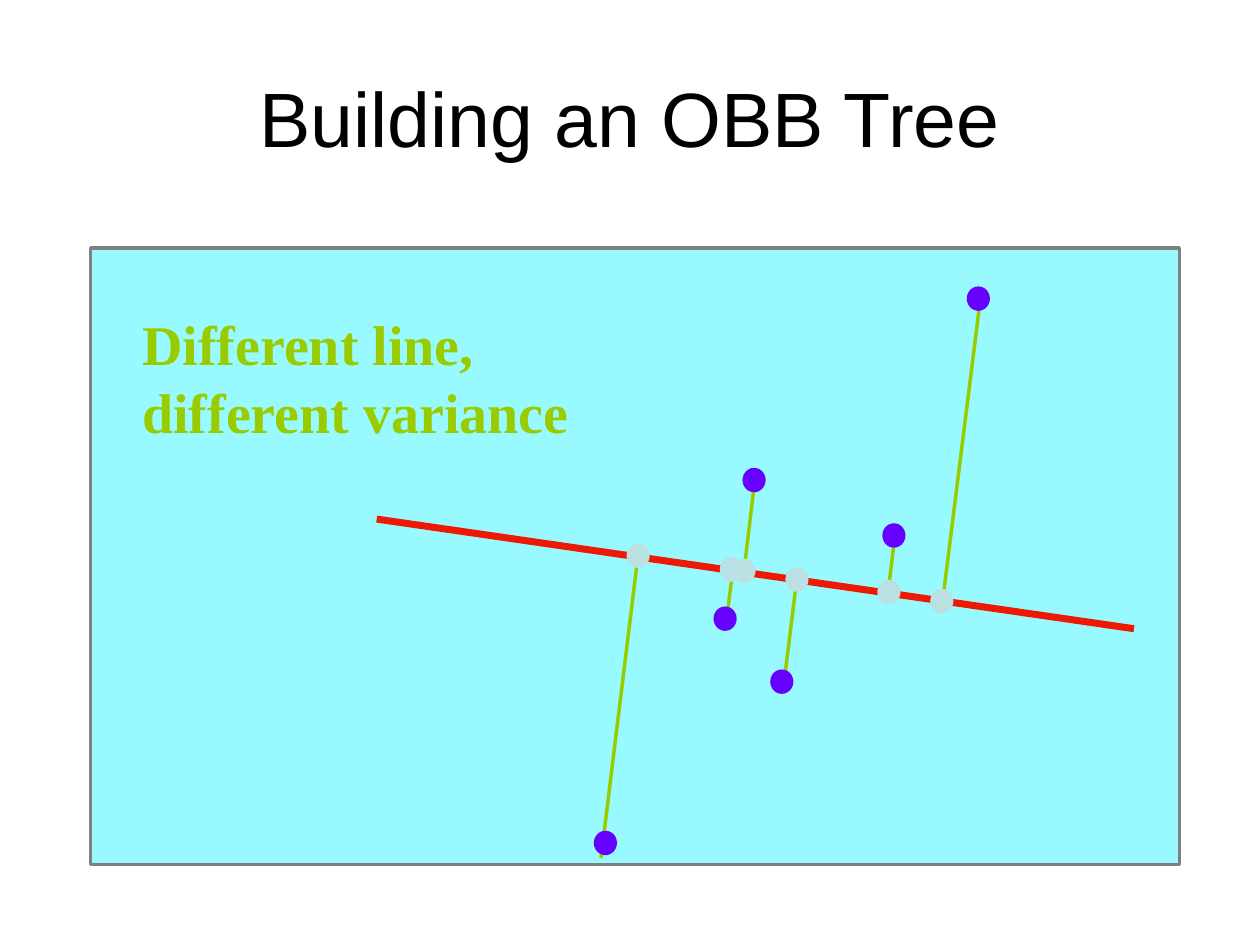
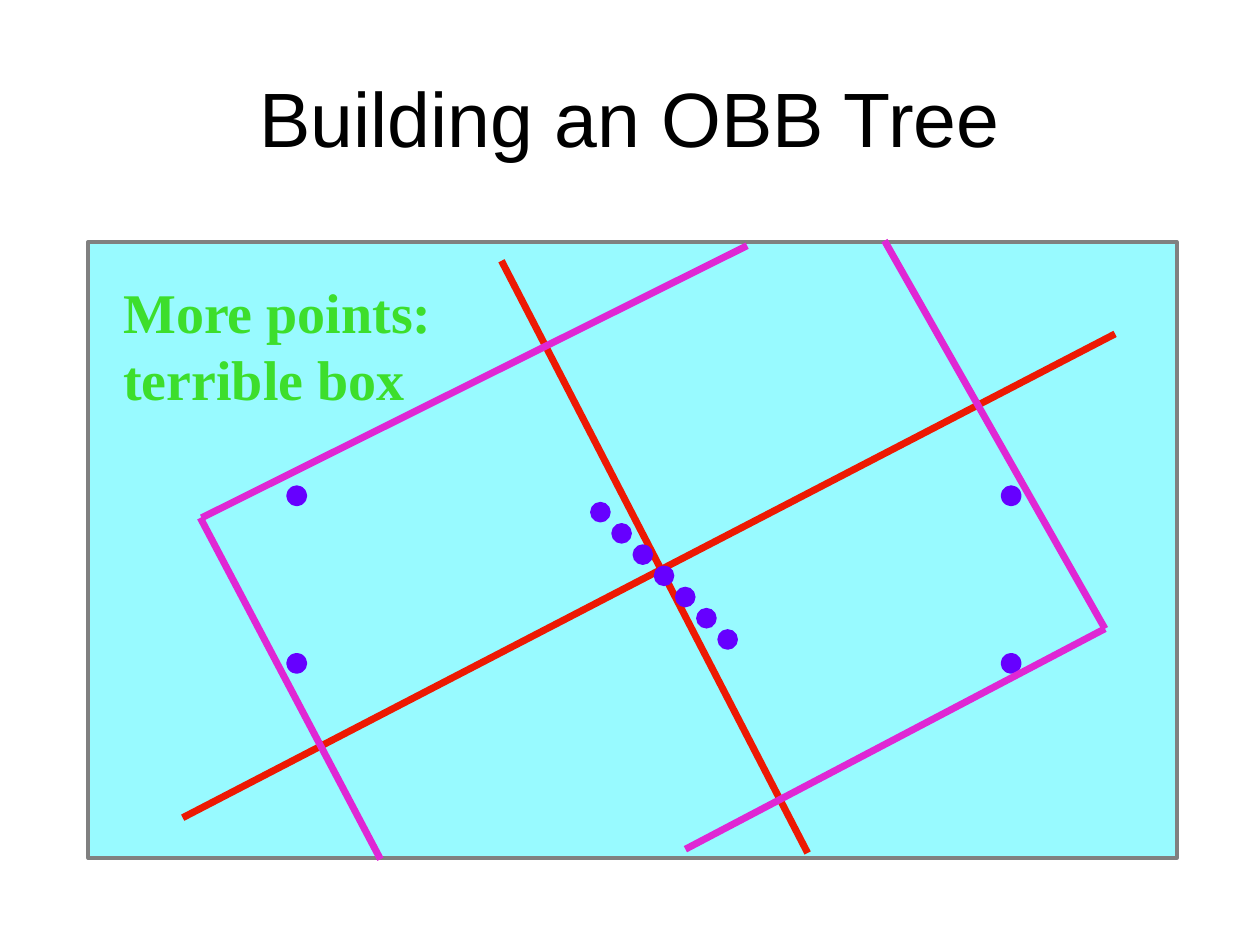
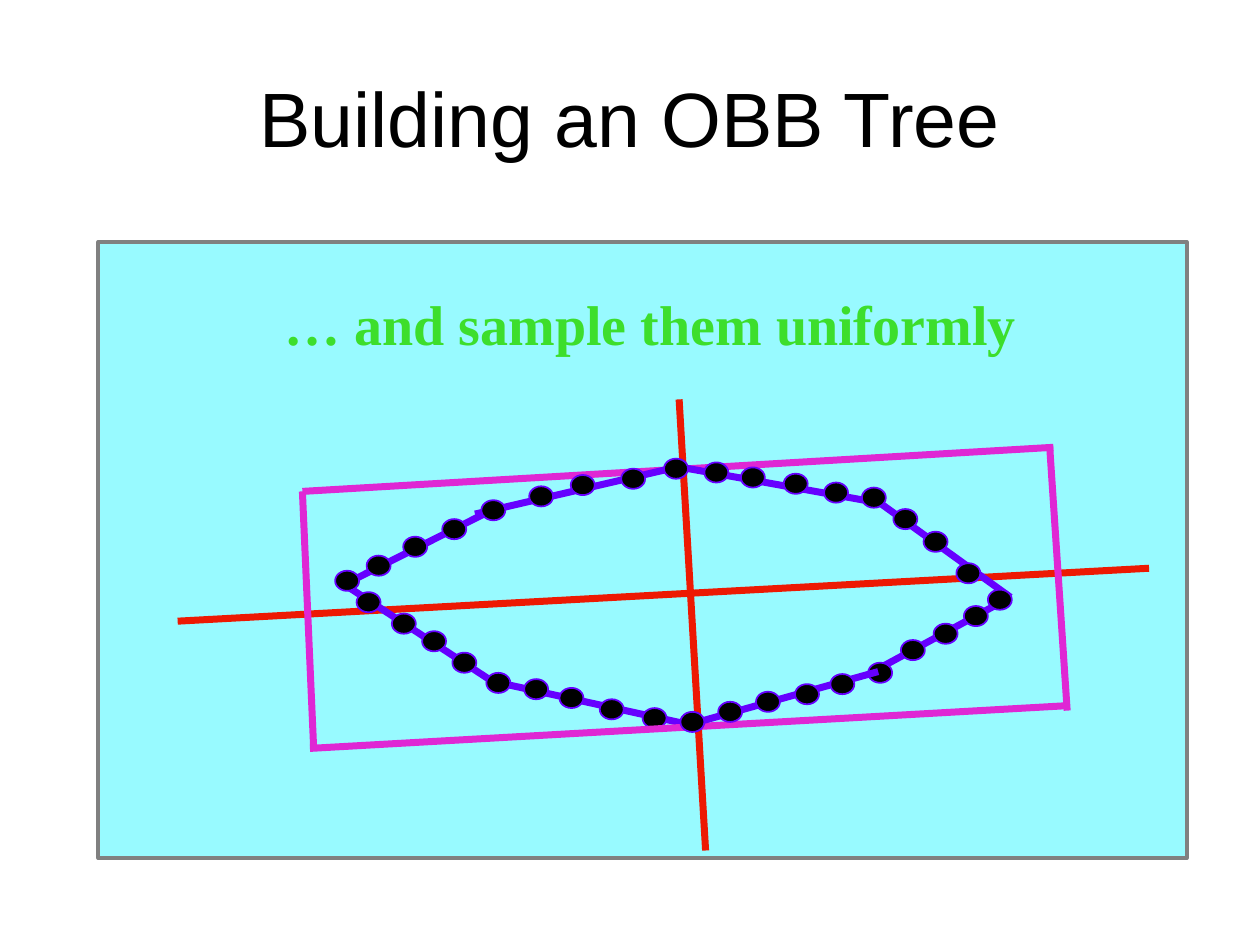
import itertools

import pptx
import pptx.dml.color
import pptx.enum.shapes
import pptx.enum.text
import pptx.oxml
import pptx.util

Inches = pptx.util.Inches
Pt = pptx.util.Pt
RGBColor = pptx.dml.color.RGBColor

BLACK = RGBColor(0x00, 0x00, 0x00)
CYAN = RGBColor(0x98, 0xFA, 0xFF)
GRAY = RGBColor(0x80, 0x80, 0x80)
OLIVE = RGBColor(0x99, 0xCC, 0x00)
GREEN = RGBColor(0x3D, 0xDE, 0x2C)
PURPLE = RGBColor(0x66, 0x00, 0xFF)
PALE = RGBColor(0xBB, 0xE0, 0xE3)
RED = RGBColor(0xED, 0x19, 0x03)
MAGENTA = RGBColor(0xDF, 0x27, 0xD4)

TITLE = "Building an OBB Tree"
TITLE_FRAME = (0.5, 0.3, 9, 1.25)
PANEL_SIZE = (8.64, 4.89)
CAPTION_SIZE = 32

# Dot styles: width, height, fill, outline colour, outline points
POINT = (0.17, 0.18, PURPLE, PURPLE, 1)
PROJECTION = (0.17, 0.18, PALE, PALE, 1)
CORNER_POINT = (0.11, 0.11, PURPLE, PURPLE, 4)
CLUSTER_POINT = (0.15, 0.15, PURPLE, PURPLE, 1)
SAMPLE = (0.19, 0.16, BLACK, PURPLE, 1)

# Line styles: colour, points
PROJECTOR = (OLIVE, 2)
AXIS = (RED, 4)
BOX_SIDE = (MAGENTA, 4)
HULL_EDGE = (PURPLE, 4)

CORNERS = list(itertools.product((2.3, 7.97), (3.88, 5.21)))
CLUSTER = [(4.69 + 1.01 * step / 6, 3.99 + 1.01 * step / 6) for step in range(7)]

# Layers run from back to front; lines are (x1, y1, x2, y2), dots are (left, top)
SLIDES = [
    {
        "panel": (0.72, 1.97),
        "caption": ("Different line,\ndifferent variance", OLIVE, (1.03, 2.41, 3.6, 1.17)),
        "layers": [
            ("lines", PROJECTOR, [
                (7.78, 2.38, 7.48, 4.78), (7.1, 4.27, 7.05, 4.69), (6.32, 4.63, 6.22, 5.44),
                (5.99, 3.82, 5.9, 4.57), (5.82, 4.49, 5.76, 4.97), (5.06, 4.44, 4.77, 6.81)]),
            ("dots", POINT, [
                (7.68, 2.28), (5.9, 3.72), (7.01, 4.16), (5.67, 4.82), (6.12, 5.32), (4.72, 6.6)]),
            ("lines", AXIS, [(2.99, 4.12, 9, 4.99)]),
            ("dots", PROJECTION, [
                (4.98, 4.32), (5.82, 4.44), (5.72, 4.43), (6.24, 4.51), (6.97, 4.61), (7.39, 4.68)]),
        ],
    },
    {
        "panel": (0.7, 1.92),
        "caption": ("More points:\nterrible box", GREEN, (0.88, 2.15, 2.66, 1.17)),
        "layers": [
            ("dots", CORNER_POINT, CORNERS),
            ("lines", AXIS, [(3.98, 2.07, 6.41, 6.77), (8.85, 2.65, 1.45, 6.49)]),
            ("dots", CLUSTER_POINT, CLUSTER),
            ("lines", BOX_SIDE, [
                (1.6, 4.11, 5.93, 1.95), (1.59, 4.11, 3.02, 6.82),
                (5.44, 6.74, 8.77, 4.99), (7.02, 1.91, 8.77, 4.99)]),
        ],
    },
    {
        "panel": (0.78, 1.92),
        "caption": ("… and sample them uniformly", GREEN, (2.16, 2.25, 6.01, 0.63)),
        "layers": [
            ("lines", BOX_SIDE, [(2.4, 3.9, 8.36, 3.55)]),
            ("lines", AXIS, [(5.39, 3.17, 5.6, 6.75), (1.41, 4.93, 9.12, 4.51)]),
            ("lines", HULL_EDGE, [
                (2.79, 4.61, 3.84, 4.08), (3.92, 5.41, 5.42, 5.74), (3.77, 4.08, 5.32, 3.72),
                (2.72, 4.63, 3.88, 5.39), (5.3, 3.69, 6.97, 3.99), (6.93, 5.33, 8.02, 4.74),
                (6.87, 3.91, 8.02, 4.74)]),
            ("dots", SAMPLE, [
                (7.84, 4.68), (6.89, 5.26), (6.84, 3.87), (5.27, 3.64), (3.86, 5.34), (3.82, 3.97),
                (2.66, 4.53), (3.11, 4.87), (3.35, 5.01), (2.83, 4.7), (3.59, 5.18), (4.16, 5.39),
                (4.44, 5.46), (4.76, 5.55), (5.1, 5.62), (7.15, 5.08), (7.41, 4.95), (7.65, 4.81),
                (3.51, 4.12), (3.2, 4.26), (4.2, 3.86), (2.91, 4.41), (4.53, 3.77), (4.93, 3.72),
                (5.59, 3.67), (5.88, 3.71), (6.22, 3.76), (6.54, 3.83), (7.09, 4.04), (7.33, 4.22),
                (7.59, 4.47)]),
            ("lines", BOX_SIDE, [
                (2.4, 3.9, 2.49, 5.95), (2.46, 5.94, 8.48, 5.6), (8.33, 3.53, 8.47, 5.64)]),
            ("lines", HULL_EDGE, [(5.47, 5.75, 6.97, 5.33)]),
            ("dots", SAMPLE, [(5.4, 5.65), (5.7, 5.57), (6.31, 5.43), (6.59, 5.35), (6, 5.49)]),
        ],
    },
]


def add_filled(page, kind, frame, fill, outline, points):
    shape = page.shapes.add_shape(kind, *map(Inches, frame))
    shape.shadow.inherit = False
    shape.fill.solid()
    shape.fill.fore_color.rgb = fill
    shape.line.color.rgb = outline
    shape.line.width = Pt(points)


def add_line(page, ends, color, points):
    line = page.shapes.add_connector(
        pptx.enum.shapes.MSO_CONNECTOR.STRAIGHT, *map(Inches, ends))
    line.line.color.rgb = color
    line.line.width = Pt(points)
    properties = line._element.spPr
    properties.append(properties.makeelement(pptx.oxml.ns.qn("a:effectLst"), {}))


def add_text(page, text, frame, font_name, size, color):
    box = page.shapes.add_textbox(*map(Inches, frame))
    box.text_frame.text = text
    for para in box.text_frame.paragraphs:
        para.font.name = font_name
        para.font.size = Pt(size)
        para.font.color.rgb = color
    return box.text_frame


def add_title(page):
    frame = add_text(page, TITLE, TITLE_FRAME, "Arial", 44, BLACK)
    frame.word_wrap = True
    frame.vertical_anchor = pptx.enum.text.MSO_ANCHOR.MIDDLE
    frame.paragraphs[0].alignment = pptx.enum.text.PP_ALIGN.CENTER


def add_caption(page, text, color, place):
    frame = add_text(page, text, place, "Times New Roman", CAPTION_SIZE, color)
    frame.word_wrap = False
    frame.auto_size = pptx.enum.text.MSO_AUTO_SIZE.SHAPE_TO_FIT_TEXT
    for para in frame.paragraphs:
        para.font.bold = True
        para.line_spacing = Pt(CAPTION_SIZE * 1.2)


def add_layer(page, kind, style, places):
    if kind == "lines":
        for ends in places:
            add_line(page, ends, *style)
    else:
        width, height, *paint = style
        for left, top in places:
            add_filled(page, pptx.enum.shapes.MSO_SHAPE.OVAL, (left, top, width, height), *paint)


def main():
    deck = pptx.Presentation()
    deck.slide_width, deck.slide_height = Inches(10), Inches(7.5)
    for content in SLIDES:
        page = deck.slides.add_slide(deck.slide_layouts[6])
        add_title(page)
        add_filled(page, pptx.enum.shapes.MSO_SHAPE.RECTANGLE,
                   content["panel"] + PANEL_SIZE, CYAN, GRAY, 2)
        add_caption(page, *content["caption"])
        for layer in content["layers"]:
            add_layer(page, *layer)
    deck.save("out.pptx")


if __name__ == "__main__":
    main()
